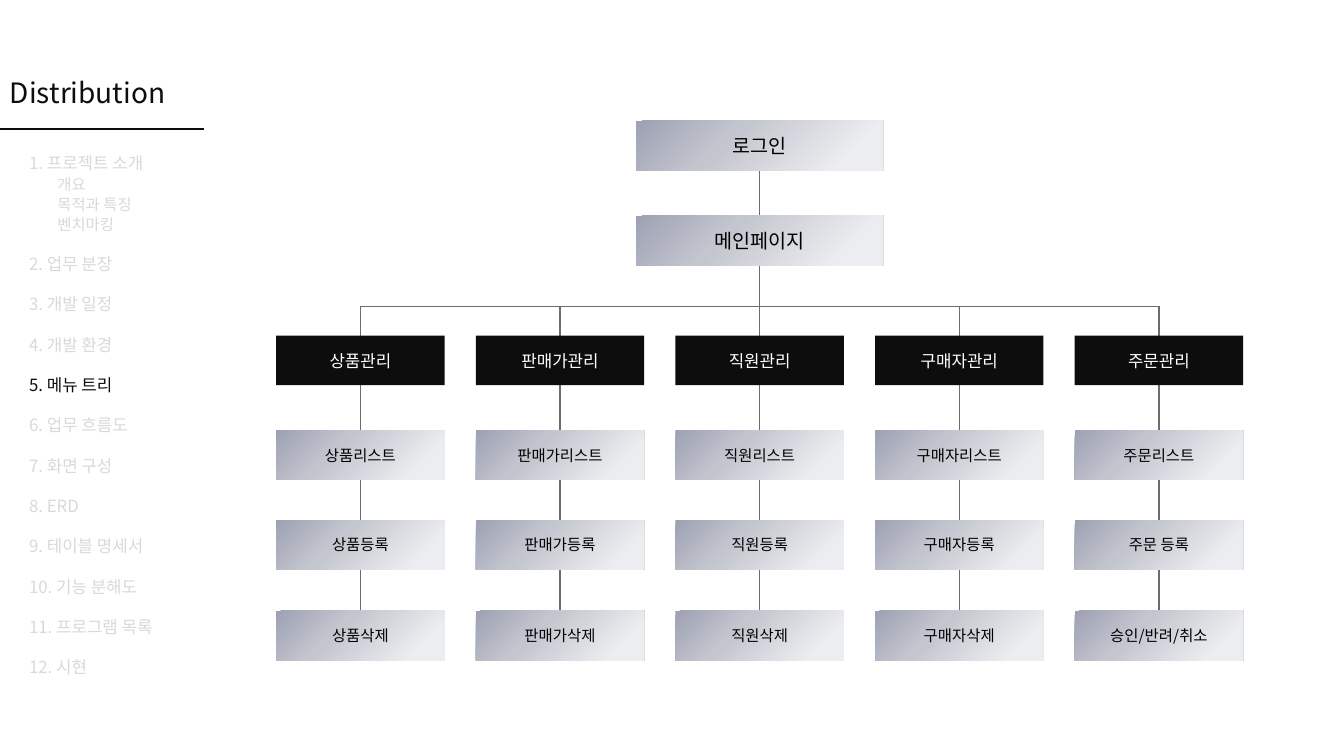
"""Build the menu tree slide with its list of chapters."""
import copy

import pptx
import pptx.util
import pptx.dml.color
import pptx.enum.shapes
import pptx.enum.text
import pptx.oxml.ns

Inches = pptx.util.Inches
Pt = pptx.util.Pt
qn = pptx.oxml.ns.qn
FONT = "Noto Sans CJK KR"
BLACK = "0D0D0D"
PALE = "D9D9D9"
FADE = [(0, "9DA1B3"), (0.37, "C4C6CF"), (0.84, "ECEDF0")]


def paint(color, tint):
    color.rgb = pptx.dml.color.RGBColor.from_string(tint)


def style(para, size, tint):
    for run in para.runs:
        run.font.name = FONT
        run.font.size = Pt(size)
        paint(run.font.color, tint)
        face = run.font._element.makeelement(qn("a:ea"), {"typeface": FONT})
        run.font._element.find(qn("a:latin")).addnext(face)


deck = pptx.Presentation()
deck.slide_width = Inches(13.33)
deck.slide_height = Inches(7.5)
slide = deck.slides.add_slide(deck.slide_layouts[6])
shapes = slide.shapes

title = shapes.add_textbox(Inches(0), Inches(0.7), Inches(1.92), Inches(0.44)).text_frame
title.word_wrap = True
title.text = "Distribution"
style(title.paragraphs[0], 20, BLACK)

items = [
    "1. 프로젝트 소개", "개요", "목적과 특징", "벤치마킹",
    "2. 업무 분장", "3. 개발 일정", "4. 개발 환경", "5. 메뉴 트리",
    "6. 업무 흐름도", "7. 화면 구성", "8. ERD", "9. 테이블 명세서",
    "10. 기능 분해도", "11. 프로그램 목록", "12. 시현",
]
menu = shapes.add_textbox(Inches(0.19), Inches(1.47), Inches(1.45), Inches(5.35)).text_frame
menu.word_wrap = True
for num, item in enumerate(items):
    para = menu.paragraphs[0] if num == 0 else menu.add_paragraph()
    para.text = item
    sub = not item[0].isdigit()
    if sub:
        para._p.get_or_add_pPr().set("marL", str(Inches(0.28)))
        para.line_spacing = 1.09
    elif num:
        para.line_spacing = 2.0
    style(para, 11 if sub else 12, BLACK if item == "5. 메뉴 트리" else PALE)

left, pitch, wide, high = 2.74, 1.98, 1.67, 0.49
rows = [3.33, 4.27, 5.16, 6.06]
trees = [
    ["상품관리", "상품리스트", "상품등록", "상품삭제"],
    ["판매가관리", "판매가리스트", "판매가등록", "판매가삭제"],
    ["직원관리", "직원리스트", "직원등록", "직원삭제"],
    ["구매자관리", "구매자리스트", "구매자등록", "구매자삭제"],
    ["주문관리", "주문리스트", "주문 등록", "승인/반려/취소"],
]
mids = [left + pitch * col + wide / 2 for col in range(len(trees))]
bus = 3.04

lines = [(0, 1.28, 2.02, 1.28, BLACK, 1.5), (mids[0], bus, mids[-1], bus, "6C6C6C", 1)]
for col, mid in enumerate(mids):
    top = 1.61 if col == 2 else bus
    lines.append((mid, top, mid, rows[-1], "6C6C6C", 1))
for x1, y1, x2, y2, tint, width in lines:
    line = shapes.add_connector(
        pptx.enum.shapes.MSO_CONNECTOR.STRAIGHT,
        Inches(x1), Inches(y1), Inches(x2), Inches(y2))
    paint(line.line.color, tint)
    line.line.width = Pt(width)
    props = line._element.spPr
    props.append(props.makeelement(qn("a:effectLst"), {}))

boxes = [("로그인", 6.31, 1.2, 2.45, 14, False), ("메인페이지", 6.31, 2.14, 2.45, 14, False)]
for col, tree in enumerate(trees):
    for row, (top, name) in enumerate(zip(rows, tree)):
        head = row == 0
        boxes.append((name, left + pitch * col, top, wide, 12 if head else 11, head))

for name, x, y, width, size, head in boxes:
    box = shapes.add_shape(
        pptx.enum.shapes.MSO_SHAPE.RECTANGLE,
        Inches(x), Inches(y), Inches(width), Inches(high))
    box.shadow.inherit = False
    box.line.fill.background()
    if head:
        box.fill.solid()
        paint(box.fill.fore_color, BLACK)
    else:
        box.fill.gradient()
        box.fill.gradient_angle = 315
        stops = box._element.spPr.find(qn("a:gradFill")).find(qn("a:gsLst"))
        stops.append(copy.deepcopy(stops[-1]))
        for stop, (place, tint) in zip(box.fill.gradient_stops, FADE):
            stop.position = place
            paint(stop.color, tint)
    frame = box.text_frame
    frame.word_wrap = True
    frame.vertical_anchor = pptx.enum.text.MSO_ANCHOR.MIDDLE
    frame.text = name
    frame.paragraphs[0].alignment = pptx.enum.text.PP_ALIGN.CENTER
    style(frame.paragraphs[0], size, "FFFFFF" if head else "000000")

deck.save("out.pptx")
